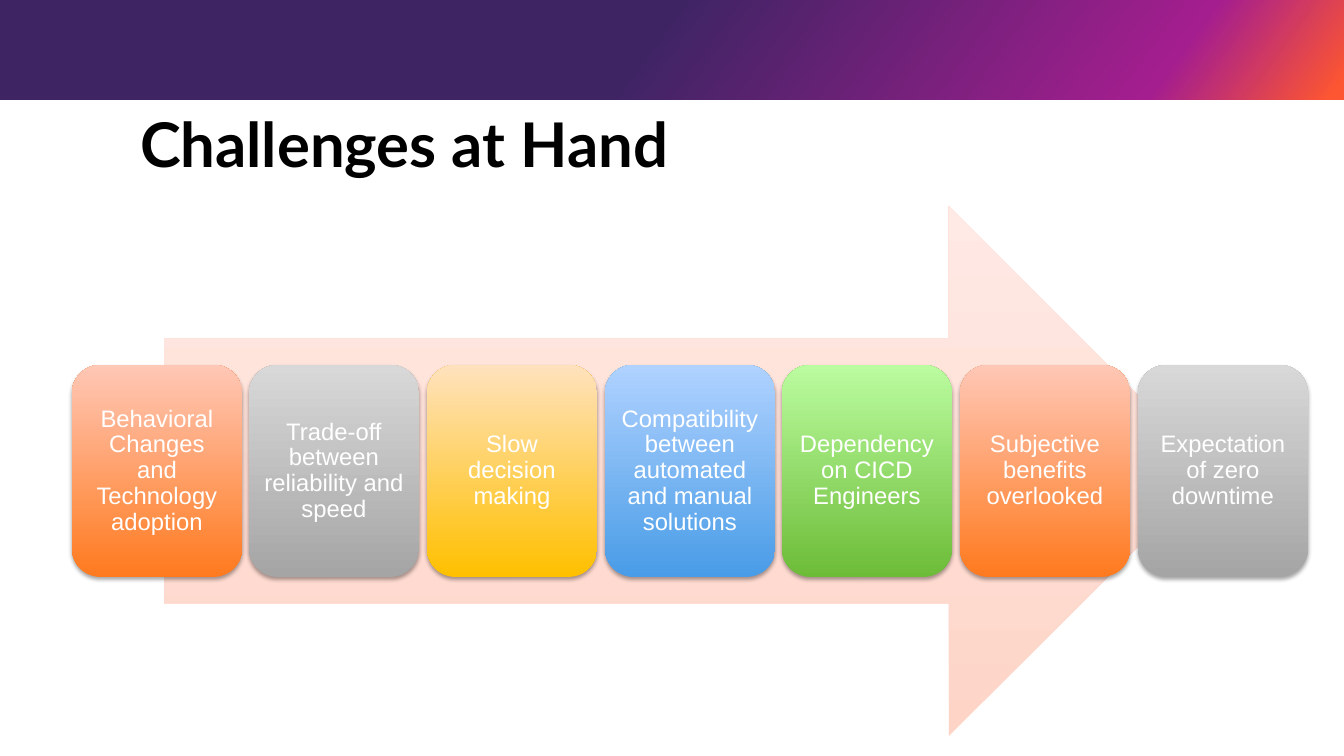
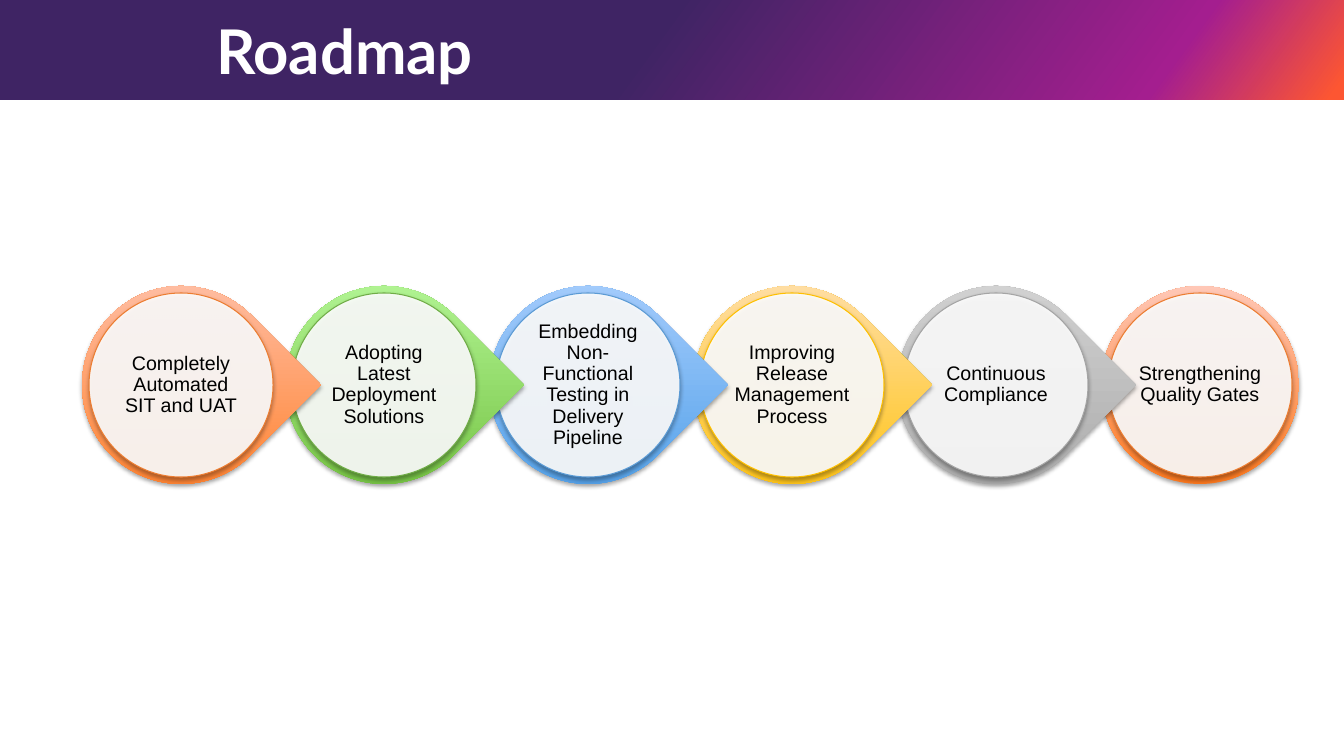
from lxml import etree
from pptx import Presentation
from pptx import util as u
from pptx.dml.color import RGBColor
from pptx.enum import shapes, text
from pptx.oxml import ns

PX = 914400 / 100.8
WIDTH, HEIGHT = 1344, 756

BLACK = RGBColor(0x00, 0x00, 0x00)
WHITE = RGBColor(0xFF, 0xFF, 0xFF)
PURPLE = RGBColor(0x3F, 0x24, 0x64)
MAGENTA = RGBColor(0xA4, 0x1E, 0x8F)
FLAME = RGBColor(0xFD, 0x56, 0x32)
PEACH = RGBColor(0xFE, 0xD4, 0xC7)
PALE_PEACH = RGBColor(0xFF, 0xEA, 0xE5)

ORANGE = (RGBColor(0xFF, 0x7A, 0x1F), RGBColor(0xFF, 0xC7, 0xB6), RGBColor(0xED, 0x7D, 0x31))
GREY = (RGBColor(0xA5, 0xA5, 0xA5), RGBColor(0xD8, 0xD8, 0xD8), RGBColor(0xA5, 0xA5, 0xA5))
GOLD = (RGBColor(0xFF, 0xC0, 0x00), RGBColor(0xFF, 0xE2, 0xBD), RGBColor(0xFF, 0xC0, 0x00))
BLUE = (RGBColor(0x49, 0x9C, 0xE7), RGBColor(0xB0, 0xD2, 0xFF), RGBColor(0x5B, 0x9B, 0xD5))
GREEN = (RGBColor(0x6D, 0xBC, 0x38), RGBColor(0xBB, 0xFC, 0xA0), RGBColor(0x70, 0xAD, 0x47))

BAND_STOPS = [(0, PURPLE), (48, PURPLE), (86, MAGENTA), (99, FLAME), (100, FLAME)]
TITLE = {"name": "Lato", "size": u.Pt(44), "bold": True}
CARD_LABEL = {"name": "Arial", "size": u.Pt(17)}
STEP_LABEL = {"name": "Arial", "size": u.Pt(14)}


def draw(slide, preset, box, stops, angle=270, shadow=True):
    shape = slide.shapes.add_shape(preset, *(u.Emu(round(v * PX)) for v in box))
    shape.shadow.inherit = False
    shape.line.fill.background()
    shape.fill.background()
    props = shape._element.spPr
    if len(stops) > 1:
        fill = etree.Element(ns.qn("a:gradFill"), rotWithShape="0")
        stop_list = etree.SubElement(fill, ns.qn("a:gsLst"))
        for position, color in stops:
            stop = etree.SubElement(stop_list, ns.qn("a:gs"), pos=str(position * 1000))
            etree.SubElement(stop, ns.qn("a:srgbClr"), val=str(color))
        etree.SubElement(fill, ns.qn("a:lin"), ang=str(angle * 60000), scaled="0")
        props.replace(props.find(ns.qn("a:noFill")), fill)
    else:
        opacity, color = stops[0]
        shape.fill.solid()
        shape.fill.fore_color.rgb = color
        tint = props.find(ns.qn("a:solidFill"))[0]
        etree.SubElement(tint, ns.qn("a:alpha"), val=str(opacity * 1000))
    if shadow:
        cast = etree.SubElement(props.find(ns.qn("a:effectLst")), ns.qn("a:outerShdw"),
                                blurRad=str(u.Pt(3.1)), dist=str(u.Pt(1.8)),
                                dir=str(90 * 60000), rotWithShape="0")
        tint = etree.SubElement(cast, ns.qn("a:srgbClr"), val=str(BLACK))
        etree.SubElement(tint, ns.qn("a:alpha"), val="35000")
    return shape


def write(shape, words, font, color, align, anchor, margins):
    frame = shape.text_frame
    layout = {"word_wrap": True, "vertical_anchor": anchor}
    for side, margin in zip(("left", "top", "right", "bottom"), margins):
        layout["margin_" + side] = u.Emu(round(margin * PX))
    for key, value in layout.items():
        setattr(frame, key, value)
    paragraph = frame.paragraphs[0]
    paragraph.alignment = align
    paragraph.line_spacing = 0.9
    run = paragraph.add_run()
    run.text = words
    for key, value in font.items():
        setattr(run.font, key, value)
    run.font.color.rgb = color


deck = Presentation()
deck.slide_width = u.Emu(round(WIDTH * PX))
deck.slide_height = u.Emu(round(HEIGHT * PX))

pages = []
for heading, color, left, top in [("Challenges at Hand", BLACK, 130, 109),
                                  ("Roadmap", WHITE, 206, 16)]:
    page = deck.slides.add_slide(deck.slide_layouts[6])
    draw(page, shapes.MSO_SHAPE.RECTANGLE, (0, 0, WIDTH, 100), BAND_STOPS, 36, False)
    title = page.shapes.add_textbox(*(u.Emu(round(v * PX)) for v in (left, top, 1029, 123)))
    write(title, heading, TITLE, color, text.PP_ALIGN.LEFT, text.MSO_ANCHOR.TOP, (10, 5, 10, 5))
    pages.append(page)
challenges, roadmap = pages

draw(challenges, shapes.MSO_SHAPE.RIGHT_ARROW, (164, 206, 1050, 530),
     [(0, PEACH), (100, PALE_PEACH)], shadow=False)

CARDS = [
    ("Behavioral Changes and Technology adoption", ORANGE),
    ("Trade-off between reliability and speed", GREY),
    ("Slow decision making", GOLD),
    ("Compatibility between automated and manual solutions", BLUE),
    ("Dependency on CICD Engineers", GREEN),
    ("Subjective benefits overlooked", ORANGE),
    ("Expectation of zero downtime", GREY),
]
for i, (words, (deep, light, edge)) in enumerate(CARDS):
    left = 72 + 1066 * i // (len(CARDS) - 1)
    card = draw(challenges, shapes.MSO_SHAPE.ROUNDED_RECTANGLE, (left, 365, 170, 212),
                [(0, deep), (100, light)])
    write(card, words, CARD_LABEL, WHITE, text.PP_ALIGN.CENTER, text.MSO_ANCHOR.MIDDLE, (7,) * 4)

STEPS = [
    ("Completely Automated SIT and UAT", ORANGE),
    ("Adopting Latest Deployment Solutions", GREEN),
    ("Embedding Non-Functional Testing in Delivery Pipeline", BLUE),
    ("Improving Release Management Process", GOLD),
    ("Continuous Compliance", GREY),
    ("Strengthening Quality Gates", ORANGE),
]
STEP_TOP, STEP_SIZE, RIM = 286, 198, 7
last = len(STEPS) - 1
for i, (words, (deep, light, edge)) in reversed(list(enumerate(STEPS))):
    left = 82 + 1019 * i // last
    preset = shapes.MSO_SHAPE.OVAL if i == last else shapes.MSO_SHAPE.TEAR
    drop = draw(roadmap, preset, (left, STEP_TOP, STEP_SIZE, STEP_SIZE), [(0, deep), (100, light)])
    drop.rotation = 0 if i == last else 45
    inner = STEP_SIZE - 2 * RIM
    disc = draw(roadmap, shapes.MSO_SHAPE.OVAL, (left + RIM, STEP_TOP + RIM, inner, inner),
                [(90, WHITE)])
    disc.line.color.rgb = edge
    disc.line.width = u.Pt(0.75)
    write(disc, words, STEP_LABEL, BLACK, text.PP_ALIGN.CENTER, text.MSO_ANCHOR.MIDDLE, (2,) * 4)

deck.save("out.pptx")
